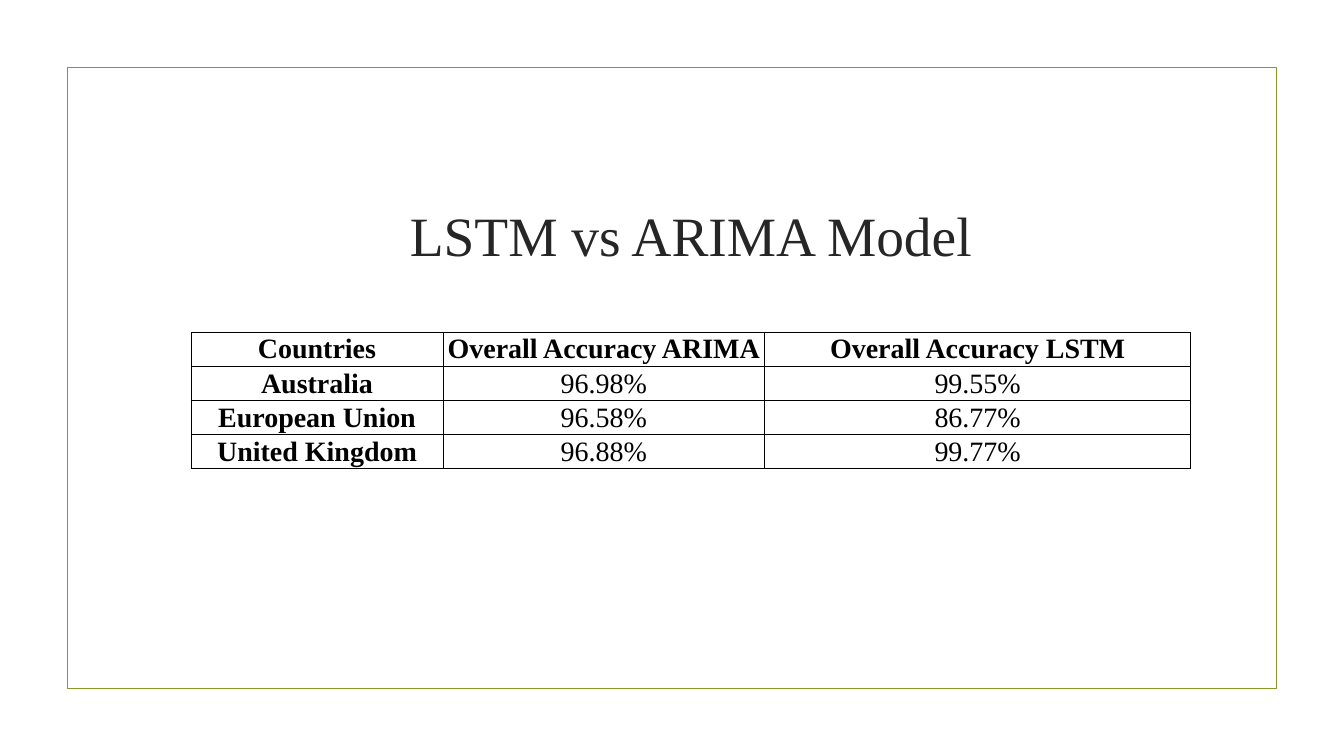
from dataclasses import dataclass

from lxml.etree import SubElement
from pptx import Presentation
from pptx.dml.color import RGBColor
from pptx.enum.shapes import MSO_SHAPE
from pptx.enum.text import MSO_ANCHOR, PP_ALIGN
from pptx.oxml.ns import qn
from pptx.slide import Slide
from pptx.table import _Cell as Cell
from pptx.text.text import TextFrame
from pptx.util import Inches, Pt


@dataclass(frozen=True)
class Theme:
    font: str = "Times New Roman"
    frame: str = "83992A"
    title: str = "262626"
    ink: str = "000000"
    title_size: float = 79.2
    table_size: float = 40
    frame_width: float = 1.25
    border_width: float = 1


@dataclass(frozen=True)
class Box:
    left: float
    top: float
    width: float
    height: float

    def lengths(self) -> tuple[Inches, ...]:
        return tuple(map(Inches, (self.left, self.top, self.width, self.height)))


@dataclass(frozen=True)
class Result:
    country: str
    arima: str
    lstm: str


THEME = Theme()
HEADER = Result("Countries", "Overall Accuracy ARIMA", "Overall Accuracy LSTM")
RESULTS = [
    Result("Australia", "96.98%", "99.55%"),
    Result("European Union", "96.58%", "86.77%"),
    Result("United Kingdom", "96.88%", "99.77%"),
]
COLUMN_WIDTHS = (5, 6.38, 8.46)
ROW_HEIGHT = 0.62
CELL_INSET = 0.01


def add_centred_run(tf: TextFrame, text: str, size: float, color: str, bold: bool = False) -> None:
    p = tf.paragraphs[0]
    p.alignment = PP_ALIGN.CENTER
    r = p.add_run()
    r.text = text
    r.font.name = THEME.font
    r.font.size = Pt(size)
    r.font.bold = bold
    r.font.color.rgb = RGBColor.from_string(color)


def add_frame(s: Slide, box: Box) -> None:
    sp = s.shapes.add_shape(MSO_SHAPE.RECTANGLE, *box.lengths())
    sp.shadow.inherit = False
    sp.fill.background()
    sp.line.color.rgb = RGBColor.from_string(THEME.frame)
    sp.line.width = Pt(THEME.frame_width)


def add_title(s: Slide, box: Box, text: str) -> None:
    tf = s.shapes.add_textbox(*box.lengths()).text_frame
    tf.word_wrap = True
    tf.vertical_anchor = MSO_ANCHOR.MIDDLE
    add_centred_run(tf, text, THEME.title_size, THEME.title)


def add_borders(cell: Cell) -> None:
    tc_pr = cell._tc.get_or_add_tcPr()
    for side in ("a:lnL", "a:lnR", "a:lnT", "a:lnB"):
        ln = SubElement(tc_pr, qn(side), w=str(Pt(THEME.border_width)))
        fill = SubElement(ln, qn("a:solidFill"))
        SubElement(fill, qn("a:srgbClr"), val=THEME.ink)


def fill_cell(cell: Cell, text: str, bold: bool) -> None:
    add_borders(cell)
    cell.fill.background()
    cell.vertical_anchor = MSO_ANCHOR.MIDDLE
    cell.margin_left = cell.margin_right = cell.margin_top = Inches(CELL_INSET)
    cell.margin_bottom = 0
    add_centred_run(cell.text_frame, text, THEME.table_size, THEME.ink, bold)


def add_results_table(s: Slide, left: float, top: float) -> None:
    rows = [HEADER, *RESULTS]
    box = Box(left, top, sum(COLUMN_WIDTHS), ROW_HEIGHT * len(rows))
    table = s.shapes.add_table(len(rows), len(COLUMN_WIDTHS), *box.lengths()).table
    table.horz_banding = False
    table.first_row = False
    for column, width in zip(table.columns, COLUMN_WIDTHS):
        column.width = Inches(width)
    for i, row in enumerate(rows):
        table.rows[i].height = Inches(ROW_HEIGHT)
        for j, text in enumerate((row.country, row.arima, row.lstm)):
            fill_cell(table.cell(i, j), text, bold=i == 0 or j == 0)


def main() -> None:
    prs = Presentation()
    prs.slide_width, prs.slide_height = Inches(26.67), Inches(15)
    s = prs.slides.add_slide(prs.slide_layouts[6])
    add_frame(s, Box(1.33, 1.33, 24, 12.33))
    add_title(s, Box(3.21, 4, 21, 1.31), "LSTM vs ARIMA Model")
    add_results_table(s, 3.79, 6.59)
    prs.save("out.pptx")


if __name__ == "__main__":
    main()
